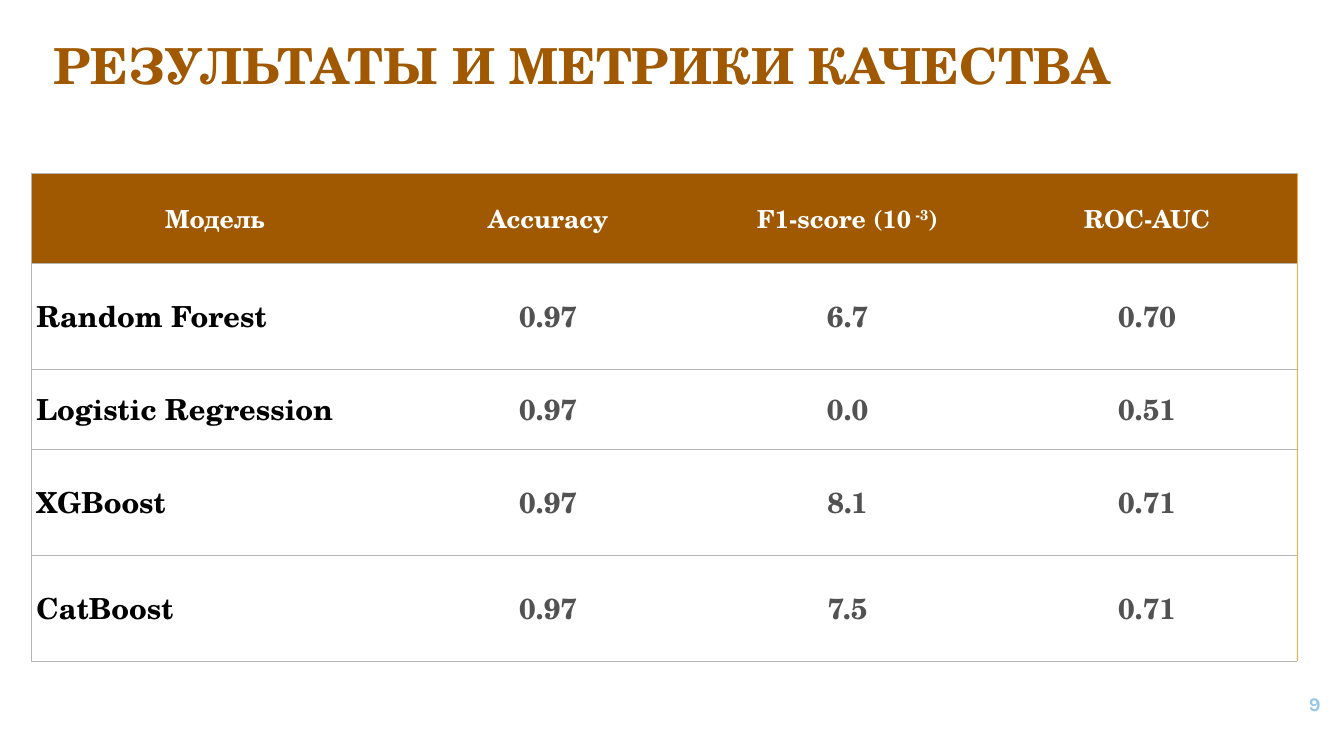
from lxml import etree
from pptx import Presentation
from pptx import util as u
from pptx.dml.color import RGBColor
from pptx.enum import text
from pptx.oxml import ns

WIDTH, HEIGHT = 27.06, 15
BROWN = RGBColor(0xA0, 0x59, 0x00)
ORANGE = RGBColor(0xFE, 0xA8, 0x3A)
RULE_GREY = RGBColor(0xB5, 0xB5, 0xB5)
VALUE_GREY = RGBColor(0x52, 0x52, 0x52)
BLUE = RGBColor(0x92, 0xC5, 0xEB)
BLACK = RGBColor(0, 0, 0)
WHITE = RGBColor(0xFF, 0xFF, 0xFF)
SERIF = "TeX Gyre Schola"
LEFT, CENTER, RIGHT = text.PP_ALIGN.LEFT, text.PP_ALIGN.CENTER, text.PP_ALIGN.RIGHT
MIDDLE = text.MSO_ANCHOR.MIDDLE

COLUMN_WIDTHS = [7.39, 6.03, 6.03, 6.03]
ROW_HEIGHTS = [1.81, 2.13, 1.62, 2.13, 2.13]
HEADINGS = ["Модель", "Accuracy", ["F1-score (10", " -3", ")"], "ROC-AUC"]
RESULTS = [
    ["Random Forest", "0.97", "6.7", "0.70"],
    ["Logistic Regression", "0.97", "0.0", "0.51"],
    ["XGBoost", "0.97", "8.1", "0.71"],
    ["CatBoost", "0.97", "7.5", "0.71"],
]


def write(frame, content, size, color, font=SERIF, align=LEFT):
    """Fill a text frame with bold text; odd parts of a list are superscript."""
    paragraph = frame.paragraphs[0]
    paragraph.alignment = align
    for index, part in enumerate([content] if isinstance(content, str) else content):
        run = paragraph.add_run()
        run.text = part
        run.font.size, run.font.name, run.font.bold = u.Pt(size), font, True
        run.font.color.rgb = color
        if index % 2:
            run.font._element.set("baseline", "30000")


def set_box(shape, left, top, width, height, anchor):
    """Place a shape and give its text frame even insets."""
    shape.left, shape.top = u.Inches(left), u.Inches(top)
    shape.width, shape.height = u.Inches(width), u.Inches(height)
    frame = shape.text_frame
    frame.word_wrap, frame.auto_size = True, text.MSO_AUTO_SIZE.NONE
    frame.vertical_anchor = anchor
    frame.margin_left = frame.margin_right = u.Inches(0.1)
    frame.margin_top = frame.margin_bottom = u.Inches(0.1)
    return frame


def set_borders(cell, colors):
    """Draw left, right, top and bottom cell borders, with None for no line."""
    properties = cell._tc.get_or_add_tcPr()
    for index, (side, color) in enumerate(zip(("lnL", "lnR", "lnT", "lnB"), colors)):
        line = etree.Element(ns.qn(f"a:{side}"), w=str(u.Pt(0.75)))
        if color is None:
            etree.SubElement(line, ns.qn("a:noFill"))
        else:
            fill = etree.SubElement(line, ns.qn("a:solidFill"))
            etree.SubElement(fill, ns.qn("a:srgbClr"), val=str(color))
        properties.insert(index, line)


def add_title(slide):
    """Format the slide title."""
    frame = set_box(slide.shapes.title, 0.97, 0.61, 25.26, 1.6, text.MSO_ANCHOR.TOP)
    write(frame, "РЕЗУЛЬТАТЫ И МЕТРИКИ КАЧЕСТВА", 72, BROWN)


def add_page_number(slide):
    """Add the page number at the lower right."""
    number = slide.shapes.add_textbox(0, 0, 0, 0)
    frame = set_box(number, 25.07, 13.6, 1.62, 1.15, MIDDLE)
    write(frame, "9", 28, BLUE, font="Karla", align=RIGHT)


def add_metrics_table(slide):
    """Add the table of models and their quality metrics."""
    metrics = slide.shapes.add_table(
        len(ROW_HEIGHTS), len(COLUMN_WIDTHS), u.Inches(0.63), u.Inches(3.49),
        u.Inches(sum(COLUMN_WIDTHS)), u.Inches(sum(ROW_HEIGHTS))).table
    metrics.horz_banding = False
    for column, width in zip(metrics.columns, COLUMN_WIDTHS):
        column.width = u.Inches(width)
    for row, height in zip(metrics.rows, ROW_HEIGHTS):
        row.height = u.Inches(height)
    last = len(COLUMN_WIDTHS) - 1
    for r, values in enumerate([HEADINGS] + RESULTS):
        for c, value in enumerate(values):
            cell = metrics.cell(r, c)
            cell.vertical_anchor = MIDDLE
            if r == 0:
                cell.fill.solid()
                cell.fill.fore_color.rgb = BROWN
                write(cell.text_frame, value, 36, WHITE, align=CENTER)
            else:
                cell.fill.background()
                write(cell.text_frame, value, 42, VALUE_GREY if c else BLACK,
                      align=CENTER if c else LEFT)
            set_borders(cell, (None if c else RULE_GREY, ORANGE if c == last else None,
                               RULE_GREY, RULE_GREY))


def main():
    """Build and save the slide."""
    deck = Presentation()
    deck.slide_width, deck.slide_height = u.Inches(WIDTH), u.Inches(HEIGHT)
    slide = deck.slides.add_slide(deck.slide_layouts[5])
    add_title(slide)
    add_page_number(slide)
    add_metrics_table(slide)
    deck.save("out.pptx")


if __name__ == "__main__":
    main()
